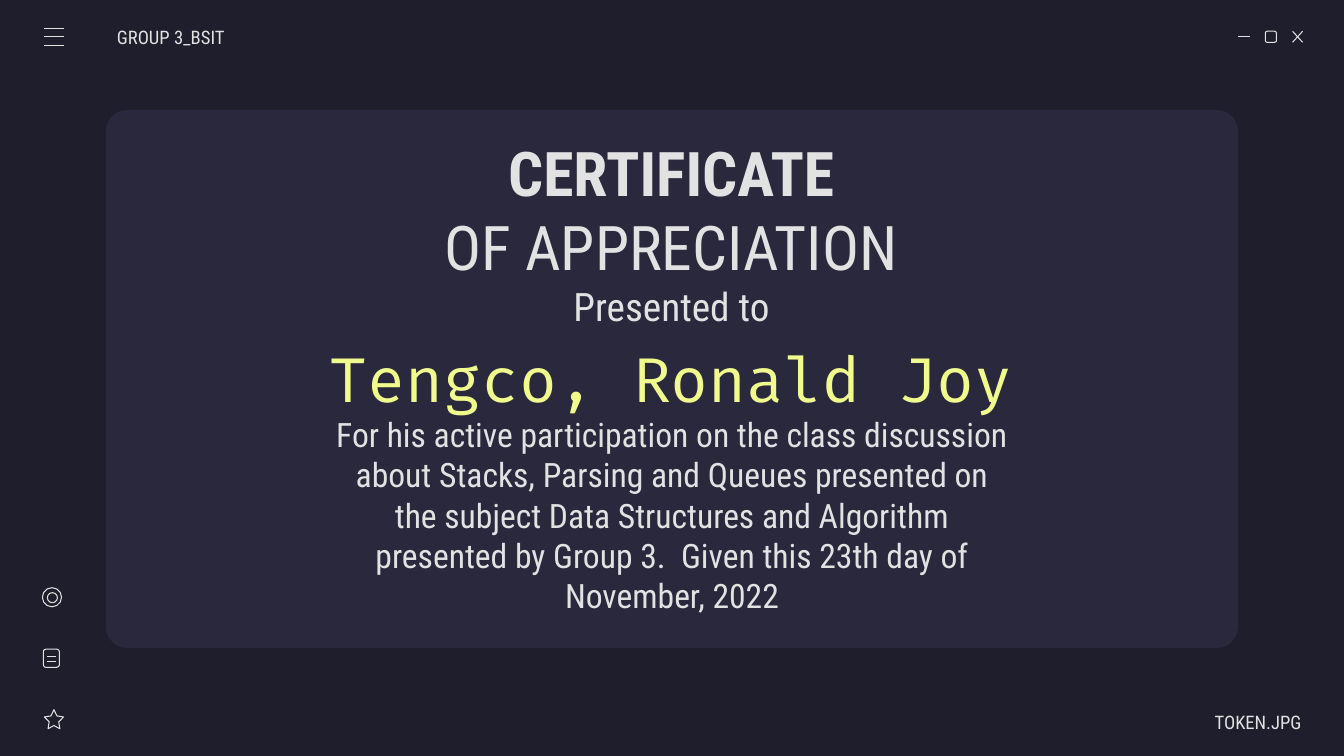
from lxml.etree import SubElement
from pptx import Presentation
from pptx.dml.color import RGBColor
from pptx.enum.shapes import MSO_CONNECTOR, MSO_SHAPE
from pptx.enum.text import MSO_ANCHOR, PP_ALIGN
from pptx.oxml.ns import qn
from pptx.util import Inches, Pt

WIDTH, HEIGHT = 13.33, 7.5
BACKGROUND, PANEL, LIGHT, YELLOW = "1E1E2C", "29283D", "E2E2E2", "F1FA8C"
BODY_FONT, NAME_FONT = "Roboto Condensed", "Fira Code"
CITATION = (
    "For his active participation on the class discussion about Stacks, Parsing and Queues "
    "presented on the subject Data Structures and Algorithm presented by Group 3.  "
    "Given this 23th day of November, 2022"
)
CENTER, LEFT, RIGHT = PP_ALIGN.CENTER, PP_ALIGN.LEFT, PP_ALIGN.RIGHT
EVEN = (0.1, 0.1, 0.1, 0.1)

TEXTS = [
    ((1.01, 3.22, 11.3, 1.06), (0.13, 0.13, 0.13, 0.13), CENTER, 44, NAME_FONT, YELLOW,
     [("Tengco, Ronald Joy", False)]),
    ((11.18, 6.93, 1.73, 0.46), (0.13, 0.13, 0, 0.13), RIGHT, 13.3, BODY_FONT, LIGHT,
     [("TOKEN.JPG", False)]),
    ((1.16, 0.16, 2.84, 0.41), (0, 0.13, 0.13, 0.13), LEFT, 13.3, BODY_FONT, LIGHT,
     [("GROUP 3_BSIT", False)]),
    ((1.01, 1.21, 11.3, 1.72), EVEN, CENTER, 44, BODY_FONT, LIGHT,
     [("CERTIFICATE", True), ("OF APPRECIATION", False)]),
    ((1.01, 2.61, 11.3, 0.84), EVEN, CENTER, 28, BODY_FONT, LIGHT, [("Presented to", False)]),
    ((3.21, 4.22, 6.91, 1.77), EVEN, CENTER, 24, BODY_FONT, LIGHT, [(CITATION, False)]),
]

ICON_SHAPES = [
    (MSO_SHAPE.ROUNDED_RECTANGLE, (12.55, 0.31, 0.11, 0.11), 0.17),
    (MSO_SHAPE.OVAL, (0.42, 5.83, 0.19, 0.19), None),
    (MSO_SHAPE.OVAL, (0.47, 5.88, 0.1, 0.1), None),
    (MSO_SHAPE.ROUNDED_RECTANGLE, (0.43, 6.44, 0.16, 0.18), 0.17),
    (MSO_SHAPE.STAR_5_POINT, (0.44, 7.04, 0.19, 0.19), 0.25),
]
MINIMIZE = [(12.28, 0.36, 12.4, 0.36)]
CLOSE = [(12.82, 0.31, 12.92, 0.42), (12.92, 0.31, 12.82, 0.42)]
MENU = [(0.44, y, 0.63, y) for y in (0.28, 0.36, 0.45)]
NOTE_LINES = [(0.47, y, 0.56, y) for y in (6.51, 6.56)]


def color(value):
    return RGBColor.from_string(value)


def inches(values):
    return [Inches(value) for value in values]


def outline(line):
    line.color.rgb = color(LIGHT)
    line.width = Pt(0.75)


def add_outline_shape(slide, kind, box, adjustment, fill=None):
    shape = slide.shapes.add_shape(kind, *inches(box))
    shape.shadow.inherit = False
    if adjustment is not None:
        shape.adjustments[0] = adjustment
    if fill:
        shape.fill.solid()
        shape.fill.fore_color.rgb = color(fill)
        shape.line.fill.background()
    else:
        shape.fill.background()
        outline(shape.line)


def add_line(slide, ends):
    connector = slide.shapes.add_connector(MSO_CONNECTOR.STRAIGHT, *inches(ends))
    outline(connector.line)
    SubElement(connector.element.spPr, qn("a:effectLst"))


def add_text(slide, box, insets, alignment, size, font_name, font_color, lines):
    frame = slide.shapes.add_textbox(*inches(box)).text_frame
    frame.word_wrap = True
    frame.vertical_anchor = MSO_ANCHOR.MIDDLE
    frame.margin_left, frame.margin_top, frame.margin_right, frame.margin_bottom = inches(insets)
    for index, (text, bold) in enumerate(lines):
        paragraph = frame.add_paragraph() if index else frame.paragraphs[0]
        paragraph.alignment = alignment
        run = paragraph.add_run()
        run.text = text
        run.font.size = Pt(size)
        run.font.name = font_name
        run.font.bold = bold
        run.font.color.rgb = color(font_color)


presentation = Presentation()
presentation.slide_width, presentation.slide_height = inches((WIDTH, HEIGHT))
slide = presentation.slides.add_slide(presentation.slide_layouts[6])
slide.background.fill.solid()
slide.background.fill.fore_color.rgb = color(BACKGROUND)

add_outline_shape(slide, MSO_SHAPE.ROUNDED_RECTANGLE, (1.05, 1.09, 11.23, 5.34), 0.04, PANEL)
for kind, box, adjustment in ICON_SHAPES:
    add_outline_shape(slide, kind, box, adjustment)
for ends in MINIMIZE + CLOSE + MENU + NOTE_LINES:
    add_line(slide, ends)
for text in TEXTS:
    add_text(slide, *text)

presentation.save("out.pptx")
